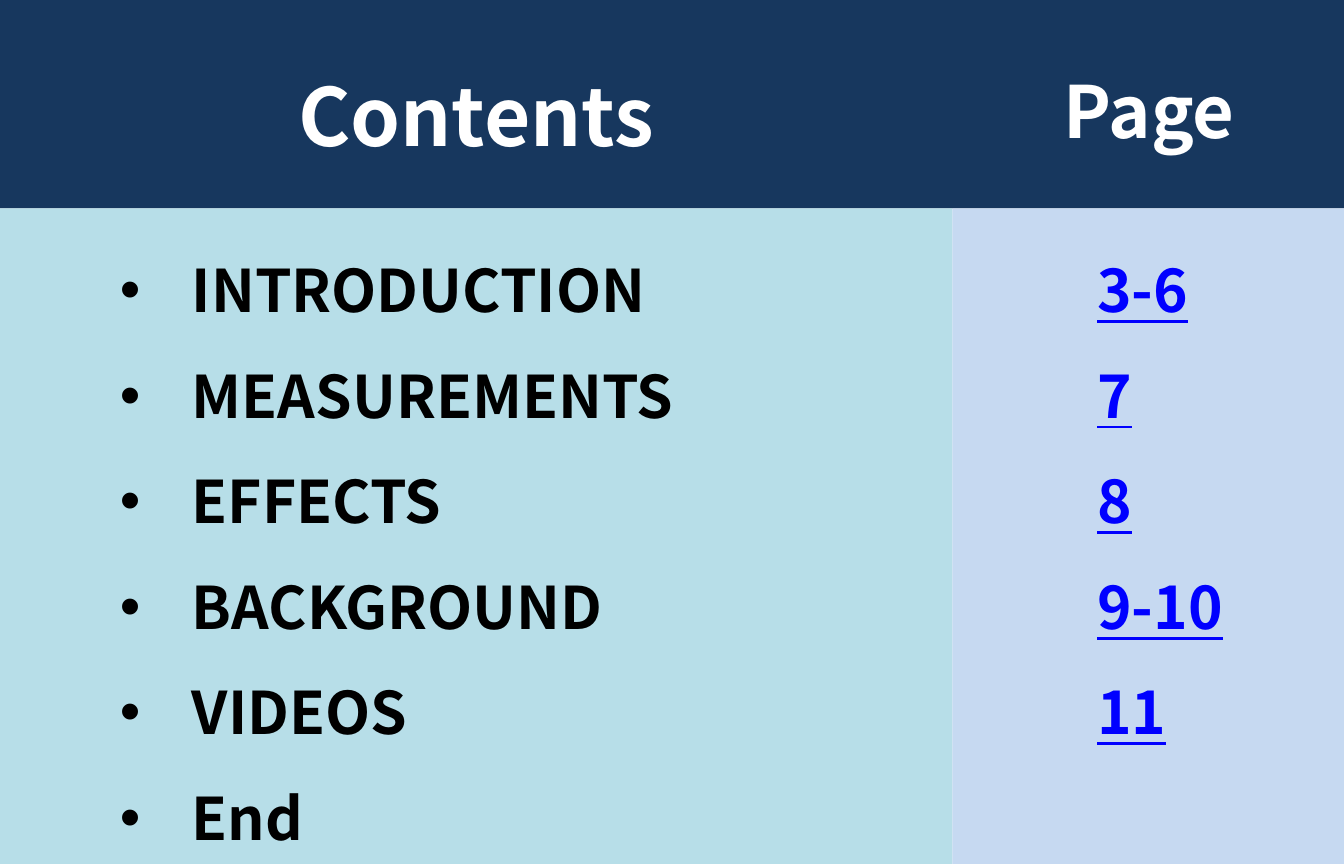
from pptx import Presentation
from pptx.dml.color import RGBColor
from pptx.enum.shapes import MSO_SHAPE as Shape
from pptx.enum.text import MSO_ANCHOR as Anchor, MSO_AUTO_SIZE as AutoSize, PP_ALIGN as Align
from pptx.oxml.ns import qn
from pptx.util import Inches, Pt
from lxml import etree

FONT = "Noto Sans CJK SC"
NAVY = RGBColor(0x17, 0x37, 0x5E)
TEAL = RGBColor(0xB7, 0xDE, 0xE8)
PALE_BLUE = RGBColor(0xC6, 0xD9, 0xF1)
WHITE = RGBColor(0xFF, 0xFF, 0xFF)
BLACK = RGBColor(0, 0, 0)
LINK_BLUE = RGBColor(0, 0, 0xFF)

BAND_WIDTH = 14.12
HEADER_HEIGHT = 2.17
BODY_HEIGHT = 9 - HEADER_HEIGHT
TOPICS_WIDTH = 9.92

ENTRIES = [
    ("INTRODUCTION", "3-6"),
    ("MEASUREMENTS", "7"),
    ("EFFECTS", "8"),
    ("BACKGROUND", "9-10"),
    ("VIDEOS", "11"),
    ("End", None),
]


def add_panel(slide, box, color):
    panel = slide.shapes.add_shape(Shape.RECTANGLE, *map(Inches, box))
    panel.shadow.inherit = False
    panel.fill.solid()
    panel.fill.fore_color.rgb = color
    panel.line.fill.background()


def add_bullet(paragraph, indent):
    """Give the paragraph a round bullet with a hanging indent in inches."""
    properties = paragraph._p.get_or_add_pPr()
    properties.set("marL", str(Inches(indent)))
    properties.set("indent", str(-Inches(indent)))
    etree.SubElement(properties, qn("a:buFont")).set("typeface", "Arial")
    etree.SubElement(properties, qn("a:buChar")).set("char", "•")


def add_text(slide, box, lines, size, color, align=Align.LEFT, spacing=1.0,
             underline=False, bullet_indent=None, grow=False):
    textbox = slide.shapes.add_textbox(*map(Inches, box))
    frame = textbox.text_frame
    frame.word_wrap = True
    frame.vertical_anchor = Anchor.TOP
    frame.auto_size = AutoSize.SHAPE_TO_FIT_TEXT if grow else AutoSize.NONE
    for index, line in enumerate(lines):
        paragraph = frame.add_paragraph() if index else frame.paragraphs[0]
        paragraph.alignment = align
        paragraph.line_spacing = spacing
        if bullet_indent:
            add_bullet(paragraph, bullet_indent)
        run = paragraph.add_run()
        run.text = line
        run.font.name = FONT
        run.font.size = Pt(size)
        run.font.bold = True
        run.font.underline = underline
        run.font.color.rgb = color


def add_header(slide, left, top, width, height):
    add_panel(slide, (left, top, width, height), NAVY)
    for title, offset, title_width, size in (("Contents", 0.35, 9.22, 60),
                                             ("Page", 10.58, 2.78, 54)):
        add_text(slide, (left + offset, top + 0.64, title_width, 1.52),
                 [title], size, WHITE, align=Align.CENTER)


def add_topics(slide, left, top, width, height):
    add_panel(slide, (left, top, width, height), TEAL)
    add_text(slide, (left + 1.15, top + 0.06, 7.67, height - 0.06),
             [topic for topic, _ in ENTRIES], 44, BLACK,
             spacing=1.5, bullet_indent=0.75, grow=True)


def add_page_numbers(slide, left, top, width, height):
    add_panel(slide, (left, top, width, height), PALE_BLUE)
    add_text(slide, (left + 1.41, top + 0.06, 2.16, 5.65),
             [pages for _, pages in ENTRIES if pages], 44, LINK_BLUE,
             spacing=1.5, underline=True, grow=True)


def main():
    deck = Presentation()
    deck.slide_width, deck.slide_height = Inches(14), Inches(9)
    slide = deck.slides.add_slide(deck.slide_layouts[6])
    add_header(slide, 0, 0, BAND_WIDTH, HEADER_HEIGHT)
    add_topics(slide, 0, HEADER_HEIGHT, TOPICS_WIDTH, BODY_HEIGHT)
    add_page_numbers(slide, TOPICS_WIDTH, HEADER_HEIGHT,
                     BAND_WIDTH - TOPICS_WIDTH, BODY_HEIGHT)
    deck.save("out.pptx")


if __name__ == "__main__":
    main()
